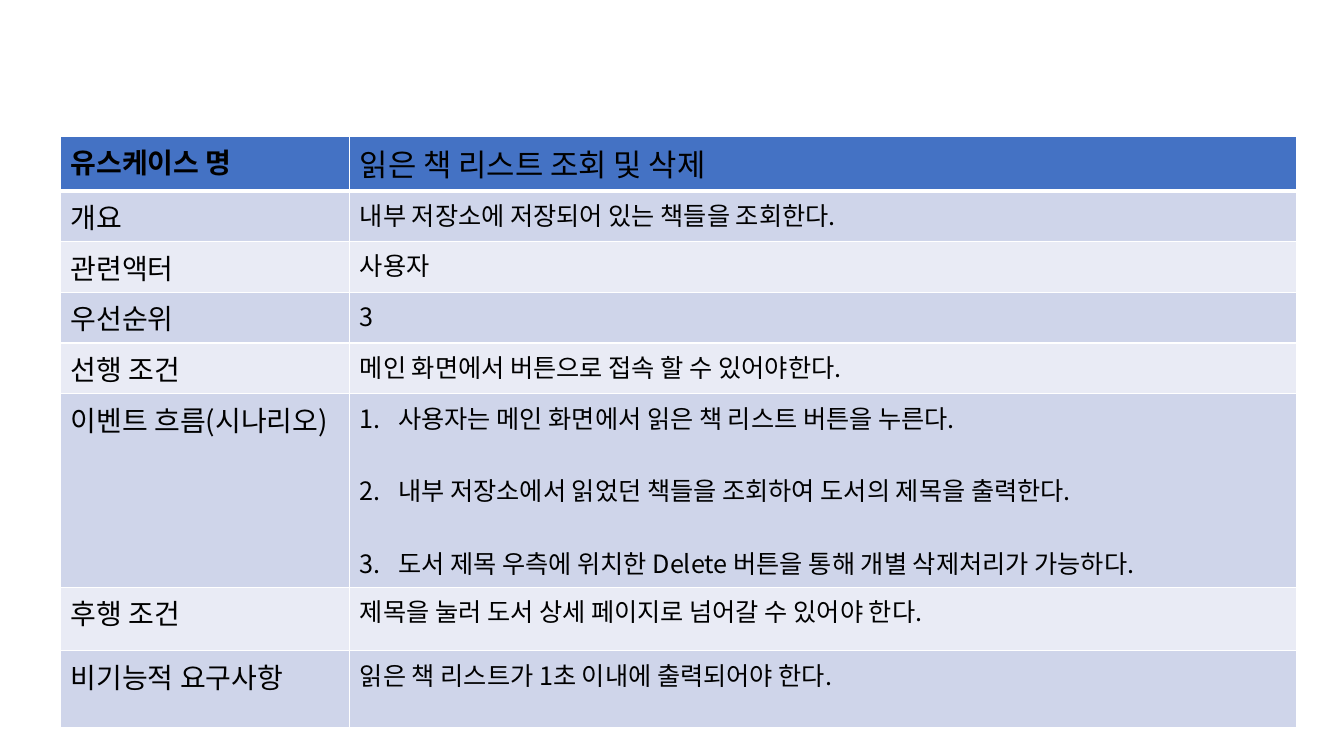
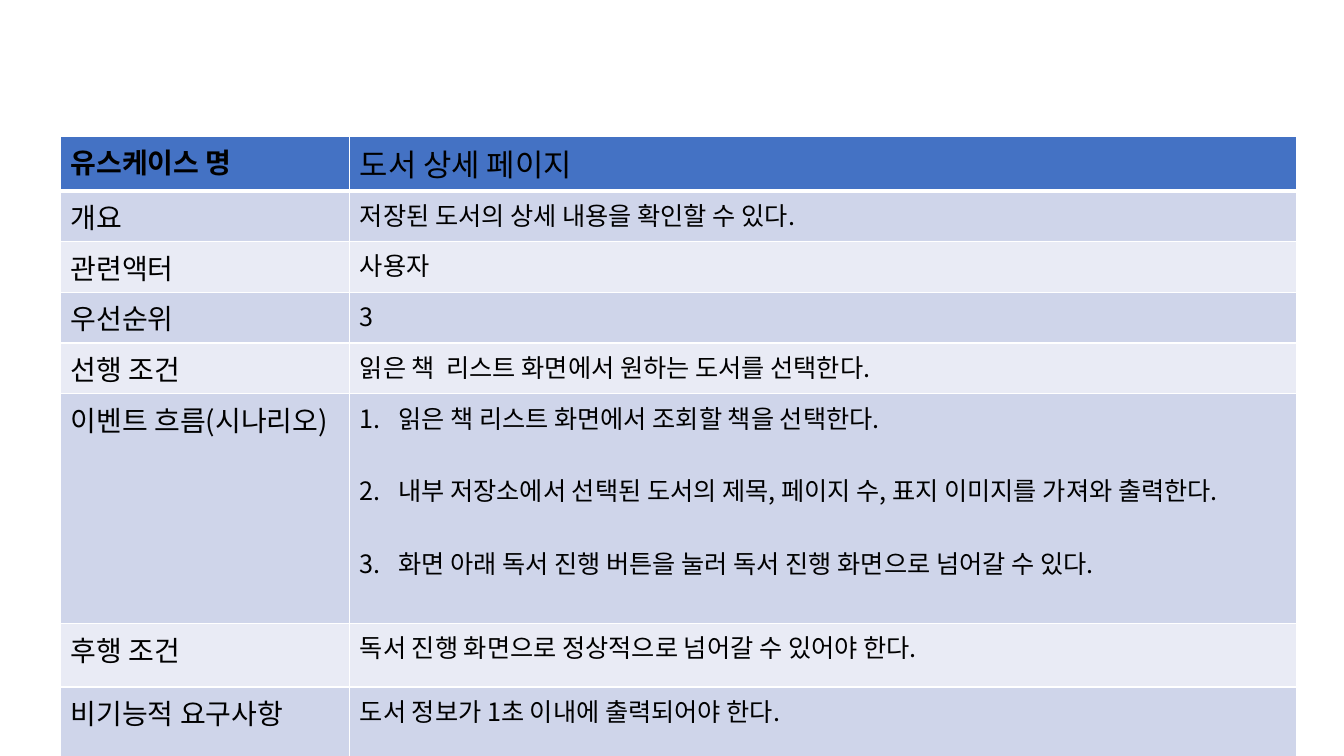
from dataclasses import dataclass

from lxml.etree import SubElement
from pptx import Presentation
from pptx.dml.color import RGBColor
from pptx.oxml.ns import qn
from pptx.presentation import Presentation as Deck
from pptx.table import _Cell as Cell
from pptx.text.text import _Paragraph as Paragraph
from pptx.util import Inches, Pt

FONT = "Noto Sans CJK KR"
BLACK = RGBColor(0x00, 0x00, 0x00)
WHITE = RGBColor(0xFF, 0xFF, 0xFF)
HEADER_BLUE = RGBColor(0x44, 0x72, 0xC4)
BAND_COLORS = (RGBColor(0xE9, 0xEB, 0xF5), RGBColor(0xCF, 0xD5, 0xEA))

LABELS = ("유스케이스 명", "개요", "관련액터", "우선순위", "선행 조건",
          "이벤트 흐름(시나리오)", "후행 조건", "비기능적 요구사항")
LABEL_SIZE, TITLE_SIZE, BODY_SIZE = 20, 22, 18
STEP_GAP = 26
STEP_INDENT = 0.38

TABLE_LEFT, TABLE_TOP = 0.6, 1.35
COLUMN_WIDTHS = (2.87, 9.39)
HEADER_HEIGHT, LINE_HEIGHT, AFTER_HEIGHT, QUALITY_HEIGHT = 0.54, 0.5, 0.63, 0.76
THIN, THICK = 1, 3


@dataclass(frozen=True)
class UseCase:
    name: str
    summary: str
    actor: str
    priority: str
    precondition: str
    steps: tuple[str, ...]
    postcondition: str
    quality: str
    steps_height: float

    def values(self) -> list[tuple[str, ...]]:
        return [(self.name,), (self.summary,), (self.actor,), (self.priority,),
                (self.precondition,), self.steps, (self.postcondition,), (self.quality,)]

    def row_heights(self) -> list[float]:
        return [HEADER_HEIGHT, *[LINE_HEIGHT] * 4, self.steps_height,
                AFTER_HEIGHT, QUALITY_HEIGHT]


USE_CASES = (
    UseCase(
        name="읽은 책 리스트 조회 및 삭제",
        summary="내부 저장소에 저장되어 있는 책들을 조회한다.",
        actor="사용자",
        priority="3",
        precondition="메인 화면에서 버튼으로 접속 할 수 있어야한다.",
        steps=("사용자는 메인 화면에서 읽은 책 리스트 버튼을 누른다.",
               "내부 저장소에서 읽었던 책들을 조회하여 도서의 제목을 출력한다.",
               "도서 제목 우측에 위치한 Delete 버튼을 통해 개별 삭제처리가 가능하다."),
        postcondition="제목을 눌러 도서 상세 페이지로 넘어갈 수 있어야 한다.",
        quality="읽은 책 리스트가 1초 이내에 출력되어야 한다.",
        steps_height=1.92,
    ),
    UseCase(
        name="도서 상세 페이지",
        summary="저장된 도서의 상세 내용을 확인할 수 있다.",
        actor="사용자",
        priority="3",
        precondition="읽은 책  리스트 화면에서 원하는 도서를 선택한다.",
        steps=("읽은 책 리스트 화면에서 조회할 책을 선택한다.",
               "내부 저장소에서 선택된 도서의 제목, 페이지 수, 표지 이미지를 가져와 출력한다.",
               "화면 아래 독서 진행 버튼을 눌러 독서 진행 화면으로 넘어갈 수 있다."),
        postcondition="독서 진행 화면으로 정상적으로 넘어갈 수 있어야 한다.",
        quality="도서 정보가 1초 이내에 출력되어야 한다.",
        steps_height=2.28,
    ),
)


def number_paragraph(para: Paragraph) -> None:
    """Give the paragraph an automatic number and a hanging indent."""
    properties = para._p.get_or_add_pPr()
    properties.set("marL", str(Inches(STEP_INDENT)))
    properties.set("indent", str(-Inches(STEP_INDENT)))
    SubElement(properties, qn("a:buFont"), typeface=FONT)
    SubElement(properties, qn("a:buAutoNum"), type="arabicPeriod")


def write_cell(cell: Cell, lines: tuple[str, ...], size: float, bold: bool = False) -> None:
    """Write one paragraph per line; several lines become numbered steps."""
    for index, line in enumerate(lines):
        frame = cell.text_frame
        para = frame.add_paragraph() if index else frame.paragraphs[0]
        if index:
            para.space_before = Pt(STEP_GAP)
        if len(lines) > 1:
            number_paragraph(para)
        span = para.add_run()
        span.text = line
        span.font.size = Pt(size)
        span.font.bold = bold
        span.font.color.rgb = BLACK
        span.font.name = FONT
        SubElement(span.font._element, qn("a:ea"), typeface=FONT)


def paint_cell(cell: Cell, row: int) -> None:
    """Draw the white borders, then the fill of the row's band."""
    widths = {"lnL": THIN, "lnR": THIN,
              "lnT": THICK if row == 1 else THIN,
              "lnB": THICK if row == 0 else THIN}
    properties = cell._tc.get_or_add_tcPr()
    for side, width in widths.items():
        line = SubElement(properties, qn(f"a:{side}"), w=str(Pt(width)))
        fill = SubElement(line, qn("a:solidFill"))
        SubElement(fill, qn("a:srgbClr"), val=str(WHITE))
    cell.fill.solid()
    cell.fill.fore_color.rgb = BAND_COLORS[row % 2] if row else HEADER_BLUE


def add_use_case_page(deck: Deck, use_case: UseCase) -> None:
    page = deck.slides.add_slide(deck.slide_layouts[6])
    heights = use_case.row_heights()
    table = page.shapes.add_table(
        len(LABELS), len(COLUMN_WIDTHS), Inches(TABLE_LEFT), Inches(TABLE_TOP),
        Inches(sum(COLUMN_WIDTHS)), Inches(sum(heights))).table
    for column, width in zip(table.columns, COLUMN_WIDTHS):
        column.width = Inches(width)
    for row, (label, lines, height) in enumerate(zip(LABELS, use_case.values(), heights)):
        table.rows[row].height = Inches(height)
        label_cell, value_cell = table.cell(row, 0), table.cell(row, 1)
        write_cell(label_cell, (label,), LABEL_SIZE, bold=row == 0)
        write_cell(value_cell, lines, BODY_SIZE if row else TITLE_SIZE)
        for cell in (label_cell, value_cell):
            paint_cell(cell, row)


def main() -> None:
    deck = Presentation()
    deck.slide_width, deck.slide_height = Inches(13.33), Inches(7.5)
    for use_case in USE_CASES:
        add_use_case_page(deck, use_case)
    deck.save("out.pptx")


if __name__ == "__main__":
    main()
